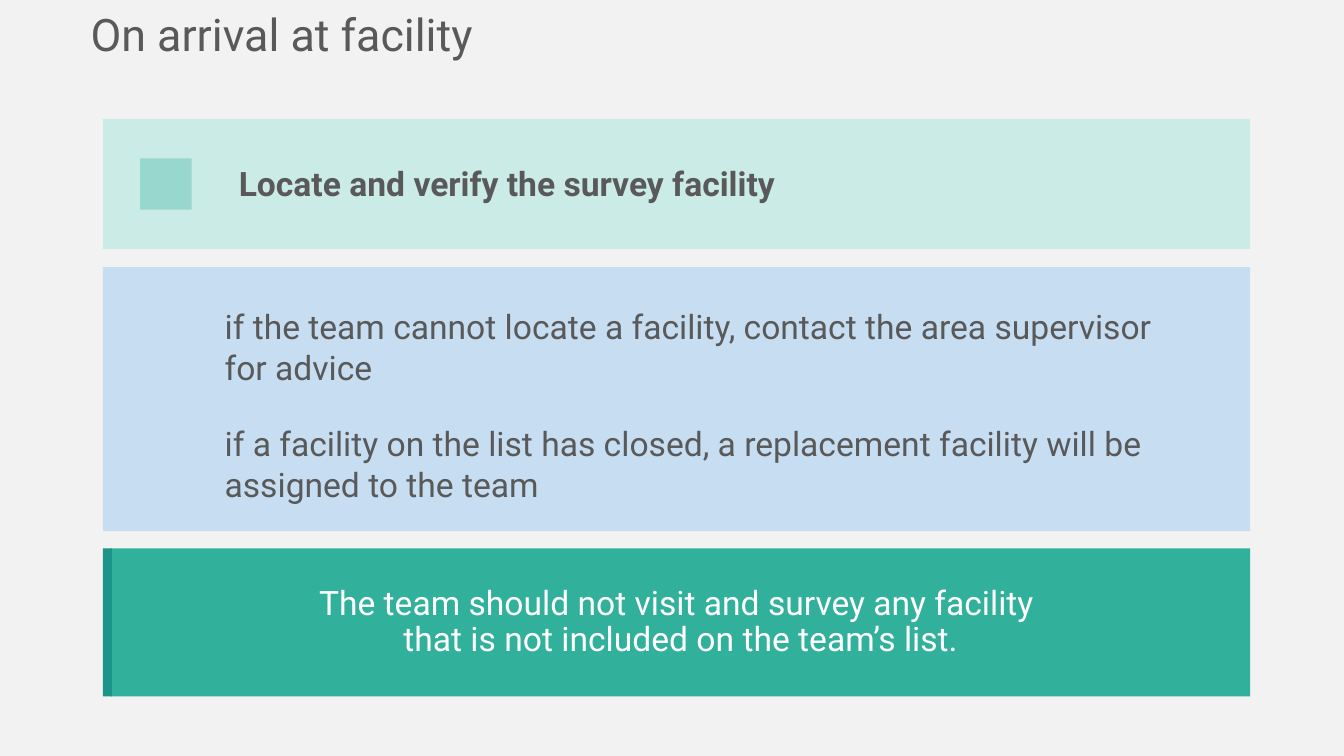
from dataclasses import dataclass

from pptx import Presentation
from pptx.dml.color import RGBColor
from pptx.enum.shapes import MSO_SHAPE as Preset
from pptx.enum.text import MSO_ANCHOR as Anchor, PP_ALIGN as Align
from pptx.slide import Slide
from pptx.text.text import TextFrame
from pptx.util import Inches, Pt

FONT = "Roboto"
GREY = "595959"
WHITE = "FFFFFF"
PANEL_LEFT = 1.02
PANEL_WIDTH = 11.38
WARNING_TOP = 5.44
WARNING_HEIGHT = 1.47
ACCENT_WIDTH = 0.09


@dataclass
class Box:
    left: float
    top: float
    width: float
    height: float
    color: str
    text: str = ""


@dataclass
class Label:
    left: float
    top: float
    width: float
    height: float
    text: str
    size: int = 24
    bold: bool = False


BOXES = [
    Box(PANEL_LEFT, 1.18, PANEL_WIDTH, 1.29, "CBEBE6"),
    Box(1.39, 1.57, 0.51, 0.51, "98D7CE"),
    Box(PANEL_LEFT, 2.65, PANEL_WIDTH, 2.62, "C7DDF1"),
    Box(1.1, WARNING_TOP, 11.3, WARNING_HEIGHT, "31B09C",
        "The team should not visit and survey any facility \v"
        "that is not included on the team’s list."),
    Box(PANEL_LEFT, WARNING_TOP, ACCENT_WIDTH, WARNING_HEIGHT, "1B9589"),
]

LABELS = [
    Label(0.8, 0.02, 10.96, 0.64, "On arrival at facility", size=32),
    Label(2.27, 1.57, 8.24, 0.5, "Locate and verify the survey facility", bold=True),
    Label(2.13, 2.99, 10.27, 0.91,
          "if the team cannot locate a facility, contact the area supervisor \vfor advice"),
    Label(2.13, 4.15, 9.63, 0.91,
          "if a facility on the list has closed, a replacement facility will be "
          "assigned to the team"),
]


def rgb(color: str) -> RGBColor:
    return RGBColor.from_string(color)


def write(frame: TextFrame, text: str, size: int, color: str, bold: bool = False) -> None:
    frame.word_wrap = True
    paragraph = frame.paragraphs[0]
    paragraph.text = text
    for run in paragraph.runs:
        run.font.name = FONT
        run.font.size = Pt(size)
        run.font.bold = bold
        run.font.color.rgb = rgb(color)


def draw_box(slide: Slide, box: Box) -> None:
    shape = slide.shapes.add_shape(
        Preset.RECTANGLE, Inches(box.left), Inches(box.top),
        Inches(box.width), Inches(box.height))
    shape.shadow.inherit = False
    shape.fill.solid()
    shape.fill.fore_color.rgb = rgb(box.color)
    shape.line.fill.background()
    if box.text:
        frame = shape.text_frame
        write(frame, box.text, 24, WHITE)
        frame.vertical_anchor = Anchor.MIDDLE
        frame.paragraphs[0].alignment = Align.CENTER
        frame.paragraphs[0].line_spacing = 0.9


def draw_label(slide: Slide, label: Label) -> None:
    text_box = slide.shapes.add_textbox(
        Inches(label.left), Inches(label.top),
        Inches(label.width), Inches(label.height))
    write(text_box.text_frame, label.text, label.size, GREY, label.bold)


def main() -> None:
    presentation = Presentation()
    presentation.slide_width = Inches(13.33)
    presentation.slide_height = Inches(7.5)
    slide = presentation.slides.add_slide(presentation.slide_layouts[6])
    slide.background.fill.solid()
    slide.background.fill.fore_color.rgb = rgb("F2F2F2")
    for box in BOXES:
        draw_box(slide, box)
    for label in LABELS:
        draw_label(slide, label)
    presentation.save("out.pptx")


if __name__ == "__main__":
    main()
